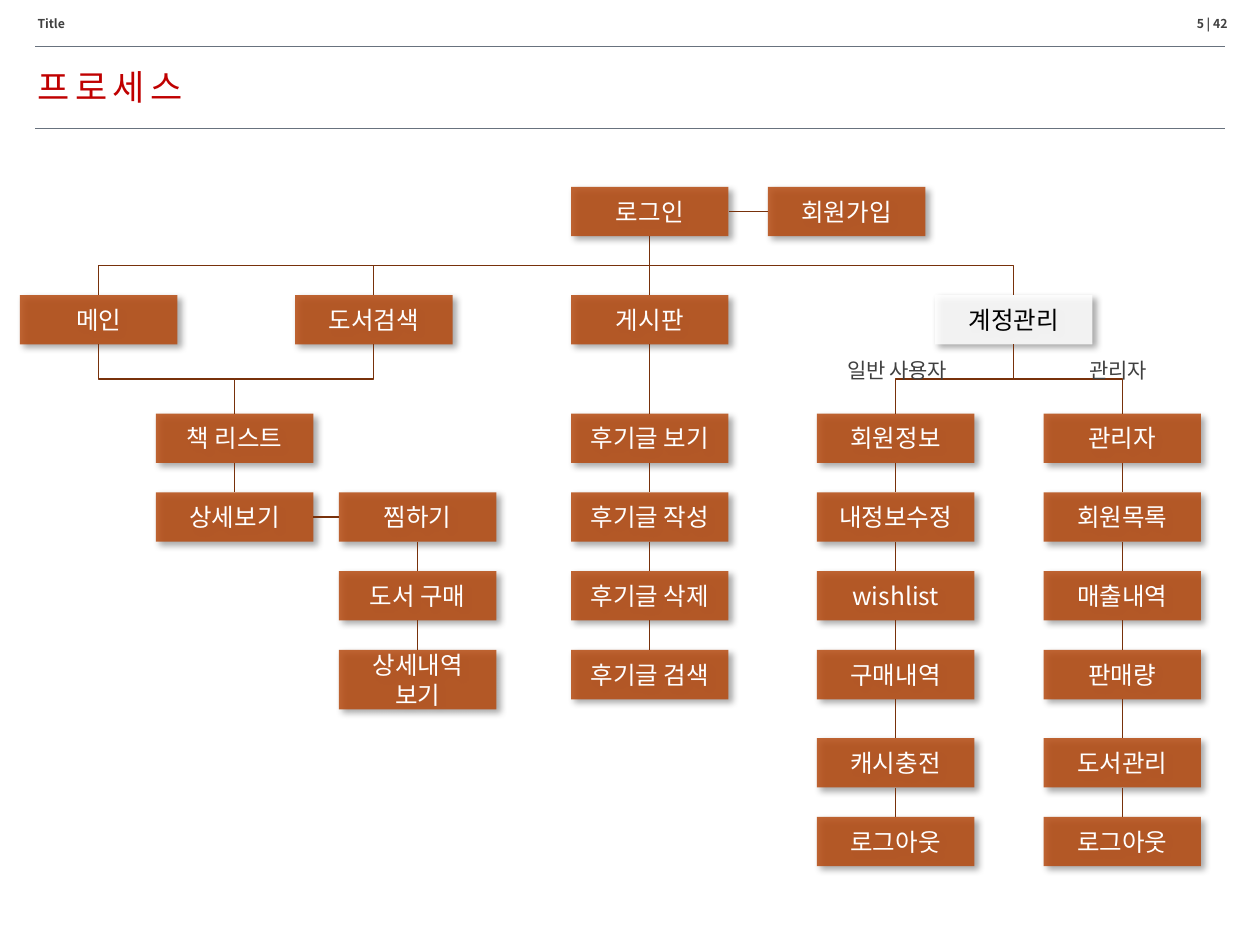
import pptx
import pptx.dml.color
import pptx.enum.shapes
import pptx.enum.text
import pptx.oxml.ns
import pptx.util
from lxml import etree

Pt = pptx.util.Pt
Kind = pptx.enum.shapes.MSO_CONNECTOR
Align = pptx.enum.text.PP_ALIGN
qn = pptx.oxml.ns.qn

BOX_W, BOX_H = 90, 28.2


def color(code):
    return pptx.dml.color.RGBColor.from_string(code)


def add(parent, tag, **attrs):
    return etree.SubElement(parent, qn(tag), {k: str(v) for k, v in attrs.items()})


class Chart:
    font = "Noto Sans CJK KR"
    rust, brown, slate, gray = "B54A10", "78310B", "68727E", "404040"

    def __init__(self, slide):
        self.slide = slide

    def label(self, frame, text, size, ink, align, bold=False, gap=0, lead=None):
        frame.word_wrap = True
        frame.text = text
        for par in frame.paragraphs:
            par.alignment = align
            if lead:
                par.line_spacing = lead
            for run in par.runs:
                font = run.font
                font.name, font.size, font.bold = self.font, Pt(size), bold
                font.color.rgb = color(ink)
                props = run._r.get_or_add_rPr()
                add(props, "a:ea", typeface=self.font)
                if gap:
                    props.set("spc", str(int(gap * 100)))

    def text(self, x, y, w, h, text, size, ink, align=Align.LEFT, **style):
        box = self.slide.shapes.add_textbox(Pt(x), Pt(y), Pt(w), Pt(h))
        self.label(box.text_frame, text, size, ink, align, **style)

    def box(self, x, y, text, h=BOX_H, fill=rust, ink="FFFFFF"):
        shape = self.slide.shapes.add_shape(
            pptx.enum.shapes.MSO_SHAPE.RECTANGLE, Pt(x), Pt(y), Pt(BOX_W), Pt(h))
        shape.fill.solid()
        shape.fill.fore_color.rgb = color(fill)
        shape.line.fill.background()
        shape.shadow.inherit = False
        # Translucent fill and soft shadow
        props = shape._element.spPr
        add(props.find(".//" + qn("a:srgbClr")), "a:alpha", val=85000)
        shade = add(props.find(qn("a:effectLst")), "a:outerShdw", blurRad=Pt(4),
                    dist=Pt(3), dir=45 * 60000, algn="tl", rotWithShape=0)
        add(add(shade, "a:srgbClr", val="000000"), "a:alpha", val=40000)
        shape.text_frame.vertical_anchor = pptx.enum.text.MSO_ANCHOR.MIDDLE
        self.label(shape.text_frame, text, 14, ink, Align.CENTER)

    def line(self, x1, y1, x2, y2, ink=brown, width=0.75, kind=Kind.STRAIGHT):
        line = self.slide.shapes.add_connector(kind, Pt(x1), Pt(y1), Pt(x2), Pt(y2))
        line.line.color.rgb = color(ink)
        line.line.width = Pt(width)
        add(line._element.spPr, "a:effectLst")
        return line

    def bend(self, x1, y1, x2, y2):
        # An elbow that leaves downward is a level elbow turned a quarter
        midx, midy = (x1 + x2) / 2, (y1 + y2) / 2
        dx, dy = (y2 - y1) / 2, abs(x2 - x1) / 2
        right = x2 > x1
        if right:
            dx = -dx
        line = self.line(midx - dx, midy - dy, midx + dx, midy + dy, kind=Kind.ELBOW)
        turn = 270 if right else 90
        line._element.spPr.find(qn("a:xfrm")).set("rot", str(turn * 60000))


def main():
    deck = pptx.Presentation()
    deck.slide_width, deck.slide_height = Pt(720), Pt(540)
    art = Chart(deck.slides.add_slide(deck.slide_layouts[6]))

    # Header
    for y in (26.2, 73.4):
        art.line(20.2, y, 699.8, y, art.slate, 0.25)
    art.text(14.4, 36.7, 273, 28.8, "프로세스", 20, "C00000", gap=3, lead=0.9)
    art.text(14.4, 7.2, 184.3, 14.4, "Title", 7, art.gray, bold=True, lead=0.8)
    art.text(524.2, 7.2, 184.3, 14.4, "5 | 42", 7, art.gray, Align.RIGHT,
             bold=True, lead=0.8)

    # Rows and columns
    top, menu, half = 106.8, 168.6, BOX_W / 2
    rows = [236.3, 281.3, 326.3, 371.4, 421.8, 466.8]
    main_x, list_x, find_x, wish_x = 11.4, 89.1, 168.6, 193.7
    board_x, join_x, user_x, acct_x, admin_x = 326.3, 438.8, 466.8, 534.3, 596.3

    # Login and menu
    art.box(board_x, top, "로그인")
    art.box(join_x, top, "회원가입")
    art.line(board_x + BOX_W, top + BOX_H / 2, join_x, top + BOX_H / 2)
    art.box(main_x, menu, "메인")
    art.box(find_x, menu, "도서검색")
    art.box(board_x, menu, "게시판")
    art.box(acct_x, menu, "계정관리", fill="FFFFFF", ink="000000")

    # Stacks of steps: left, first row, labels
    stacks = [
        (list_x, 0, ["책 리스트", "상세보기"]),
        (wish_x, 1, ["찜하기", "도서 구매", "상세내역\n보기"]),
        (board_x, 0, ["후기글 보기", "후기글 작성", "후기글 삭제", "후기글 검색"]),
        (user_x, 0, ["회원정보", "내정보수정", "wishlist", "구매내역", "캐시충전", "로그아웃"]),
        (admin_x, 0, ["관리자", "회원목록", "매출내역", "판매량", "도서관리", "로그아웃"]),
    ]
    for x, first, names in stacks:
        tops = rows[first:first + len(names)]
        for y, name in zip(tops, names):
            art.box(x, y, name, h=34 if "\n" in name else BOX_H)
        for y, below in zip(tops, tops[1:]):
            art.line(x + half, y + BOX_H, x + half, below)
    art.line(list_x + BOX_W, rows[1] + BOX_H / 2, wish_x, rows[1] + BOX_H / 2)

    # Branches
    for x in (main_x, find_x, acct_x):
        art.bend(board_x + half, top + BOX_H, x + half, menu)
    art.line(board_x + half, top + BOX_H, board_x + half, menu)
    art.line(board_x + half, menu + BOX_H, board_x + half, rows[0])
    for x1, x2 in ((main_x, list_x), (find_x, list_x),
                   (acct_x, user_x), (acct_x, admin_x)):
        art.bend(x1 + half, menu + BOX_H, x2 + half, rows[0])

    # Branch labels
    for x, w, name in ((477.4, 90, "일반 사용자"), (615.6, 62, "관리자")):
        art.text(x, 193.7, w, 28.8, name, 12, art.gray, gap=-0.3, lead=1.5)

    deck.save("out.pptx")


if __name__ == "__main__":
    main()
